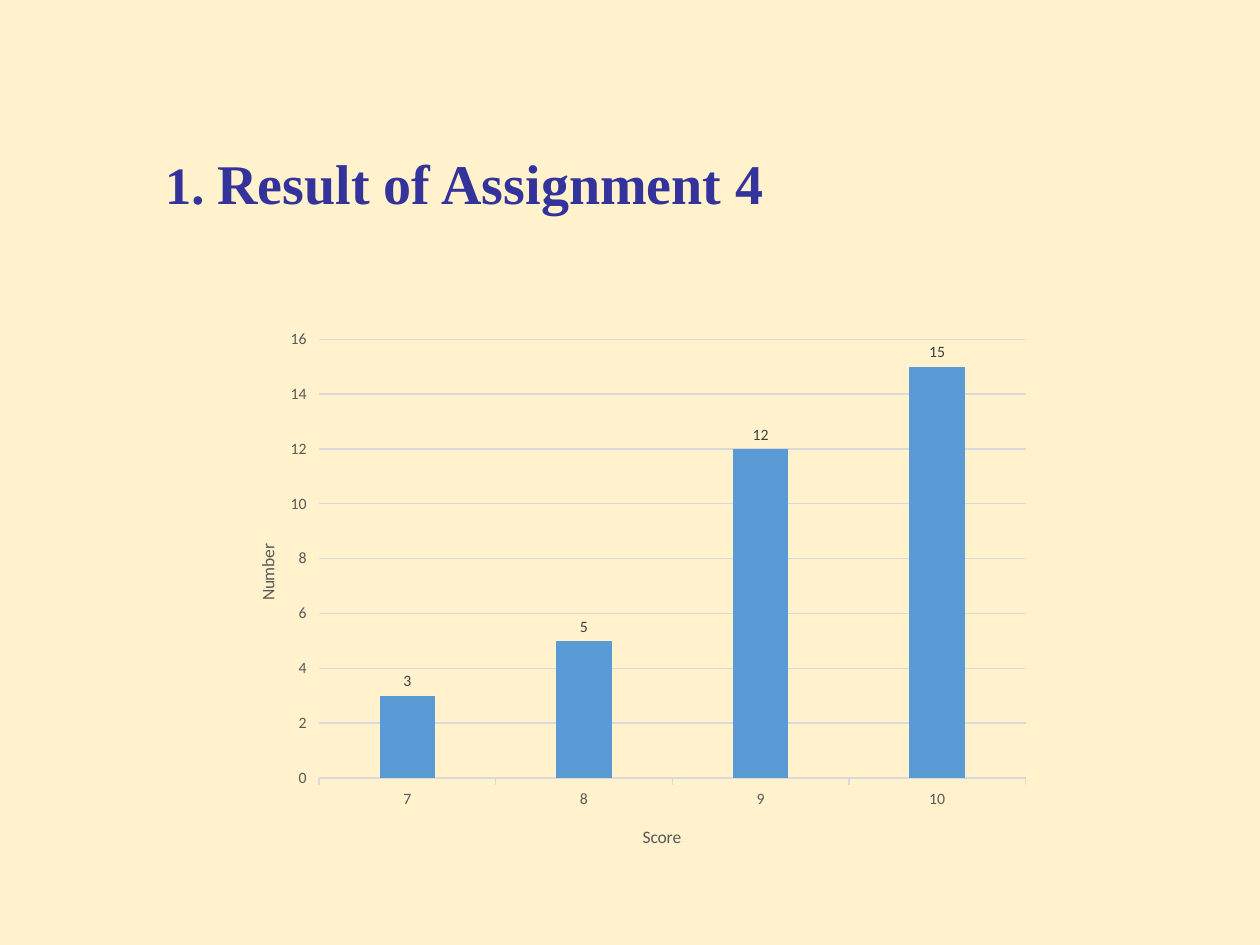
from lxml.etree import SubElement
from pptx import Presentation
from pptx.chart.data import CategoryChartData
from pptx.dml.color import RGBColor
from pptx.enum.chart import XL_CHART_TYPE, XL_LABEL_POSITION, XL_TICK_MARK
from pptx.enum.text import MSO_ANCHOR, PP_ALIGN
from pptx.oxml import parse_xml
from pptx.oxml.ns import nsdecls, qn
from pptx.util import Inches, Pt

GRID_COLOR = "D9D9D9"
AXIS_COLOR = "595959"


def color(hex_string):
    return RGBColor.from_string(hex_string)


def style_font(font, name, size, hex_string, bold=False):
    font.name = name
    font.size = Pt(size)
    font.bold = bold
    font.color.rgb = color(hex_string)


def style_line(line, hex_string):
    line.color.rgb = color(hex_string)
    line.width = Pt(0.75)


def set_layout(element, **fractions):
    """Place a chart part by fractions of the chart's width and height."""
    layout = element.find(qn("c:layout"))
    if layout is None:
        layout = parse_xml(f"<c:layout {nsdecls('c')}/>")
        element.insert(0, layout)
    manual = SubElement(layout, qn("c:manualLayout"))
    if "w" in fractions:
        SubElement(manual, qn("c:layoutTarget"), val="inner")
    for side in "xy":
        SubElement(manual, qn(f"c:{side}Mode"), val="edge")
    for side, fraction in fractions.items():
        SubElement(manual, qn(f"c:{side}"), val=str(fraction))


def style_axis(axis, title, x, y):
    axis.major_tick_mark = XL_TICK_MARK.OUTSIDE
    style_font(axis.tick_labels.font, "Calibri", 9, AXIS_COLOR)
    frame = axis.axis_title.text_frame
    frame.text = title
    style_font(frame.paragraphs[0].font, "Calibri", 10, AXIS_COLOR)
    set_layout(axis.axis_title._element, x=x, y=y)


def add_title(page):
    title = page.shapes.title
    title.left, title.top = Inches(1.21), Inches(1.13)
    title.width, title.height = Inches(7.51), Inches(0.64)
    frame = title.text_frame
    frame.vertical_anchor = MSO_ANCHOR.TOP
    para = frame.paragraphs[0]
    para.alignment = PP_ALIGN.LEFT
    style_font(para.font, "Times New Roman", 32, "33339B", bold=True)
    number = para.add_run()
    number.text = "1. "
    number.font.size = Pt(30)
    para.add_run().text = "Result of Assignment 4"


def add_score_chart(page):
    data = CategoryChartData()
    data.categories = ["7", "8", "9", "10"]
    data.add_series("Series 1", [3, 5, 12, 15])
    chart = page.shapes.add_chart(
        XL_CHART_TYPE.COLUMN_CLUSTERED,
        Inches(1.75), Inches(2.54), Inches(6.52), Inches(4.38), data).chart
    chart.has_legend = False
    chart.has_title = False
    style_font(chart.font, "Calibri", 10, "000000")

    style_axis(chart.category_axis, "Score", 0.51, 0.91)
    style_line(chart.category_axis.format.line, GRID_COLOR)
    values = chart.value_axis
    style_axis(values, "Number", 0.04, 0.4)
    values.axis_title.text_frame._txBody.bodyPr.set("rot", "-5400000")
    values.minimum_scale, values.maximum_scale, values.major_unit = 0, 16, 2
    values.format.line.fill.background()
    style_line(values.major_gridlines.format.line, GRID_COLOR)

    plot = chart.plots[0]
    plot.vary_by_categories = False
    plot.gap_width = 219
    plot.overlap = -27
    series = plot.series[0]
    series.format.fill.solid()
    series.format.fill.fore_color.rgb = color("5B9BD5")
    labels = series.data_labels
    labels.show_value = True
    labels.position = XL_LABEL_POSITION.OUTSIDE_END
    style_font(labels.font, "Calibri", 9, "404040")
    plot_area = chart._chartSpace.chart.plotArea
    set_layout(plot_area, x=0.12, y=0.035, w=0.86, h=0.795)


def main():
    deck = Presentation()
    deck.slide_width, deck.slide_height = Inches(10), Inches(7.5)
    page = deck.slides.add_slide(deck.slide_layouts[5])
    page.background.fill.solid()
    page.background.fill.fore_color.rgb = color("FFF2CC")
    add_title(page)
    add_score_chart(page)
    deck.save("out.pptx")


if __name__ == "__main__":
    main()
